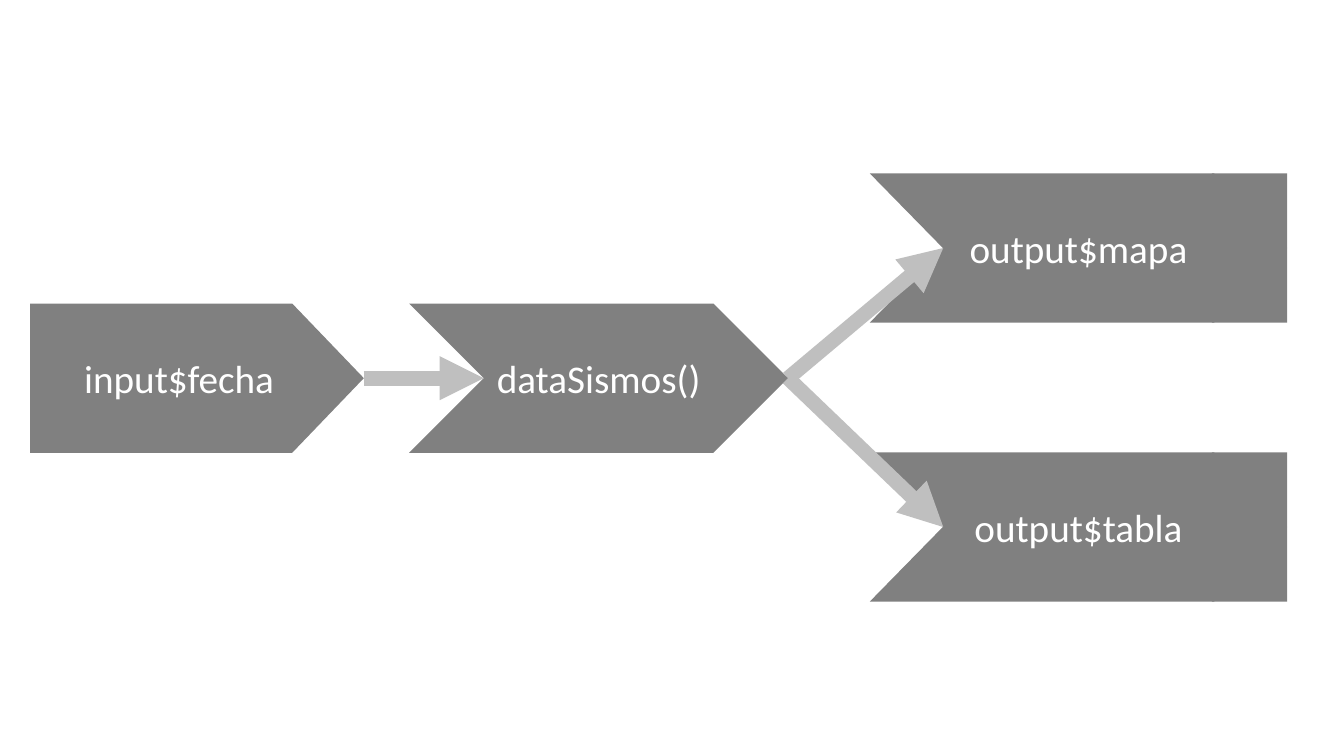
from lxml.etree import SubElement
from pptx import Presentation
from pptx.dml.color import RGBColor
from pptx.enum.shapes import MSO_CONNECTOR, MSO_SHAPE
from pptx.enum.text import MSO_ANCHOR, PP_ALIGN
from pptx.oxml.ns import qn
from pptx.util import Cm, Pt

GRAY = RGBColor(0x80, 0x80, 0x80)
LIGHT_GRAY = RGBColor(0xBF, 0xBF, 0xBF)
WHITE = RGBColor(0xFF, 0xFF, 0xFF)

BLOCK_HEIGHT = 3.76
MIDDLE = 9.53
OUTPUT_LEFT, OUTPUT_WIDTH = 21.92, 10.52
END_WIDTH = 1.9
INPUT_LEFT, INPUT_WIDTH = 0.76, 8.41
REACTIVE_LEFT, REACTIVE_WIDTH = 10.31, 9.55
OUTPUTS = (("output$mapa", 6.25), ("output$tabla", 13.28))


class FlowDiagram:
    """Draws the blocks and arrows of a reactive flow on one slide."""

    def __init__(self, slide):
        self.slide = slide
        self.font_name = "Calibri"
        self.font_size = Pt(28)
        self.arrow_width = Pt(10.5)

    def block(self, kind, left, middle, width, text="", point=None):
        """Add a gray block centred vertically on middle."""
        shape = self.slide.shapes.add_shape(
            kind, Cm(left), Cm(middle - BLOCK_HEIGHT / 2), Cm(width), Cm(BLOCK_HEIGHT)
        )
        shape.shadow.inherit = False
        shape.fill.solid()
        shape.fill.fore_color.rgb = GRAY
        shape.line.fill.background()
        if point is not None:
            shape.adjustments[0] = point
        if text:
            self.label(shape, text)

    def label(self, shape, text):
        """Write centred white text in a block."""
        frame = shape.text_frame
        frame.vertical_anchor = MSO_ANCHOR.MIDDLE
        paragraph = frame.paragraphs[0]
        paragraph.text = text
        paragraph.alignment = PP_ALIGN.CENTER
        paragraph.font.name = self.font_name
        paragraph.font.size = self.font_size
        paragraph.font.color.rgb = WHITE

    def arrow(self, start, end):
        """Add a thick arrow between two points in centimetres."""
        connector = self.slide.shapes.add_connector(
            MSO_CONNECTOR.STRAIGHT, *map(Cm, start + end)
        )
        connector.line.color.rgb = LIGHT_GRAY
        connector.line.width = self.arrow_width
        SubElement(connector.line._get_or_add_ln(), qn("a:tailEnd"), type="triangle")
        SubElement(connector._element.spPr, qn("a:effectLst"))


def main():
    """Build and save the slide."""
    presentation = Presentation()
    presentation.slide_width = Cm(33.87)
    presentation.slide_height = Cm(19.05)
    slide = presentation.slides.add_slide(presentation.slide_layouts[6])
    diagram = FlowDiagram(slide)

    end_left = OUTPUT_LEFT + OUTPUT_WIDTH - END_WIDTH
    reactive_tip = (REACTIVE_LEFT + REACTIVE_WIDTH, MIDDLE)
    for text, middle in OUTPUTS:
        diagram.block(
            MSO_SHAPE.CHEVRON, OUTPUT_LEFT, middle, OUTPUT_WIDTH, text, point=0.49
        )
        diagram.block(MSO_SHAPE.RECTANGLE, end_left, middle, END_WIDTH)
    for _, middle in OUTPUTS:
        diagram.arrow(reactive_tip, (23.77, middle))

    diagram.block(
        MSO_SHAPE.PENTAGON, INPUT_LEFT, MIDDLE, INPUT_WIDTH, "input$fecha", point=0.48
    )
    diagram.block(
        MSO_SHAPE.CHEVRON, REACTIVE_LEFT, MIDDLE, REACTIVE_WIDTH, "dataSismos()", point=0.5
    )
    diagram.arrow(
        (INPUT_LEFT + INPUT_WIDTH, MIDDLE), (REACTIVE_LEFT + BLOCK_HEIGHT / 2, MIDDLE)
    )
    presentation.save("out.pptx")


if __name__ == "__main__":
    main()
